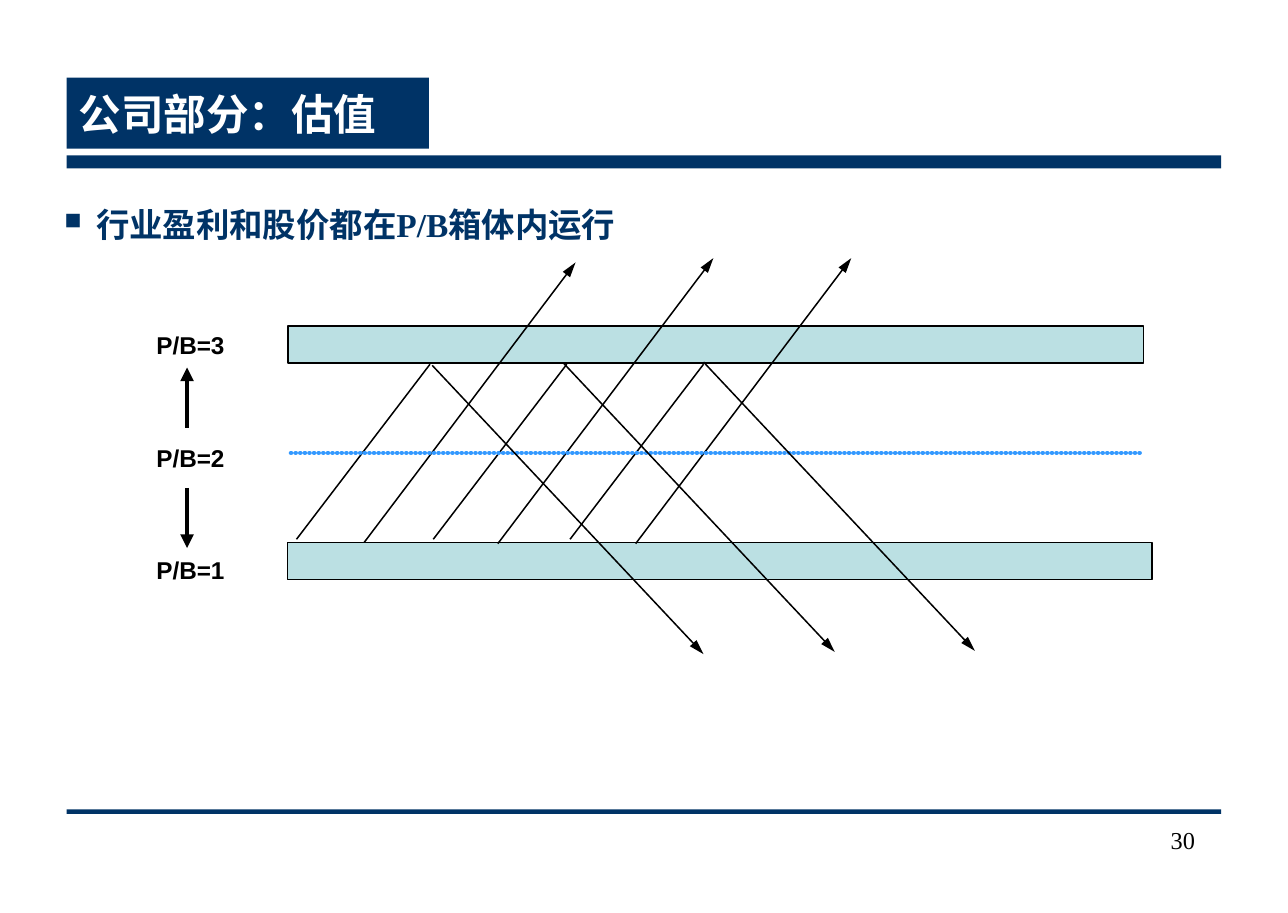
from pptx import Presentation
from pptx.dml.color import RGBColor
from pptx.enum.shapes import MSO_CONNECTOR, MSO_SHAPE
from pptx.enum.text import MSO_ANCHOR, PP_ALIGN
from pptx.oxml.ns import qn
from pptx.util import Cm, Pt
from lxml.etree import SubElement

PX = 9144
COLORS = {"navy": "003366", "teal": "BBE0E3", "blue": "3399FF",
          "black": "000000", "white": "FFFFFF"}


def color(name):
    """Return the named colour."""
    return RGBColor.from_string(COLORS[name])


def bar(slide, box, fill, edge=None):
    """Draw a filled rectangle, outlined if an edge colour is given."""
    shape = slide.shapes.add_shape(MSO_SHAPE.RECTANGLE, *[n * PX for n in box])
    shape.shadow.inherit = False
    shape.fill.solid()
    shape.fill.fore_color.rgb = color(fill)
    if edge:
        shape.line.color.rgb = color(edge)
        shape.line.width = Pt(1)
    else:
        shape.line.fill.background()
    return shape


def write(shape, text, size, font, tint, bold=True, align=PP_ALIGN.LEFT,
          anchor=MSO_ANCHOR.TOP, wrap=True, inset=(11, 6)):
    """Put one styled run in a shape and return its paragraph."""
    frame = shape.text_frame
    frame.word_wrap = wrap
    frame.vertical_anchor = anchor
    frame.margin_left = frame.margin_right = inset[0] * PX
    frame.margin_top = frame.margin_bottom = inset[1] * PX
    para = frame.paragraphs[0]
    para.alignment = align
    run = para.add_run()
    run.text = text
    run.font.size = Pt(size)
    run.font.name = font
    run.font.bold = bold
    run.font.color.rgb = color(tint)
    return para


def label(slide, box, *args, **style):
    """Add a text box and return its paragraph."""
    return write(slide.shapes.add_textbox(*[n * PX for n in box]), *args, **style)


def line(slide, start, end, width=1, tint="black", head=None, dots=False):
    """Draw a straight line, dotted or with an arrowhead of the given length."""
    ends = [n * PX for n in (*start, *end)]
    link = slide.shapes.add_connector(MSO_CONNECTOR.STRAIGHT, *ends)
    link.line.width = Pt(width)
    link.line.color.rgb = color(tint)
    stroke = link.line._get_or_add_ln()
    if dots:
        stroke.set("cap", "rnd")
        dash = SubElement(stroke, qn("a:custDash"))
        SubElement(dash, qn("a:ds"), d="100000", sp="1000")
    if head:
        SubElement(stroke, qn("a:tailEnd"), type="triangle", w="med", len=head)
    SubElement(link._element.spPr, qn("a:effectLst"))


def header(slide, box):
    """Draw the title block above its full-width rule."""
    left, top, width, height = box
    bar(slide, (left, top + 71, width, 12), "navy")
    title = bar(slide, (left, top, 331, height), "navy")
    write(title, "公司部分：估值", 28, "Arial", "white", anchor=MSO_ANCHOR.MIDDLE)


def point(slide, box):
    """Write the bulleted statement."""
    para = label(slide, box, "行业盈利和股价都在P/B箱体内运行", 22,
                 "Times New Roman", "navy", inset=(10, 5))
    para.line_spacing = 1.1
    props = para._p.get_or_add_pPr()
    props.set("marL", str(29 * PX))
    props.set("indent", str(-29 * PX))
    SubElement(SubElement(props, qn("a:buClr")), qn("a:srgbClr"), val=COLORS["navy"])
    SubElement(props, qn("a:buSzPct"), val="70000")
    SubElement(props, qn("a:buChar"), char="■")


def scale(slide, box):
    """Draw the P/B labels and the arrows pointing away from the middle."""
    left, top, width, height = box
    for row, ratio in enumerate((3, 2, 1)):
        label(slide, (left, top + 103 * row, width, height), f"P/B={ratio}",
              16, "Arial", "black", wrap=False)
    for start, end in ((95, 40), (150, 205)):
        line(slide, (left + 39, top + start), (left + 39, top + end), 3, head="med")


def channel(slide, box):
    """Draw the two bands, the middle line and the paths between them."""
    left, top, width, height = box
    bar(slide, (left, top, width - 8, 34), "teal", "black")
    for step in range(3):
        foot = left + 8 + 125 * step
        line(slide, (foot, top + 195), (foot + 122, top + 35))
    for step, base in enumerate((203, 199, 199)):
        start = left + (66, 192, 318)[step]
        line(slide, (start, top + base), (start + 197, top + base - 261), head="lg")
        if step == 0:
            bar(slide, (left, top + height - 34, width, 34), "teal", "black")
    line(slide, (left + 3, top + 116), (left + 782, top + 116), 3, "blue", dots=True)
    for over, down in ((132, 36), (252, 34), (380, 33)):
        line(slide, (left + over, top + down),
             (left + over + 248, top + down + 264), head="lg")


def footer(slide, box):
    """Draw the bottom rule and the page number."""
    left, top, width, height = box
    bar(slide, (left, top, width, 4), "navy")
    label(slide, (left + width - 102, top + 8, 89, height - 8), "30", 16,
          "Times New Roman", "black", bold=False, align=PP_ALIGN.RIGHT)


def main():
    """Build and save the slide."""
    deck = Presentation()
    deck.slide_width = Cm(29.9)
    deck.slide_height = Cm(21.2)
    slide = deck.slides.add_slide(deck.slide_layouts[6])
    header(slide, (61, 71, 1055, 65))
    point(slide, (49, 178, 1047, 50))
    channel(slide, (263, 298, 790, 232))
    scale(slide, (132, 296, 95, 38))
    footer(slide, (61, 740, 1055, 66))
    deck.save("out.pptx")


if __name__ == "__main__":
    main()
